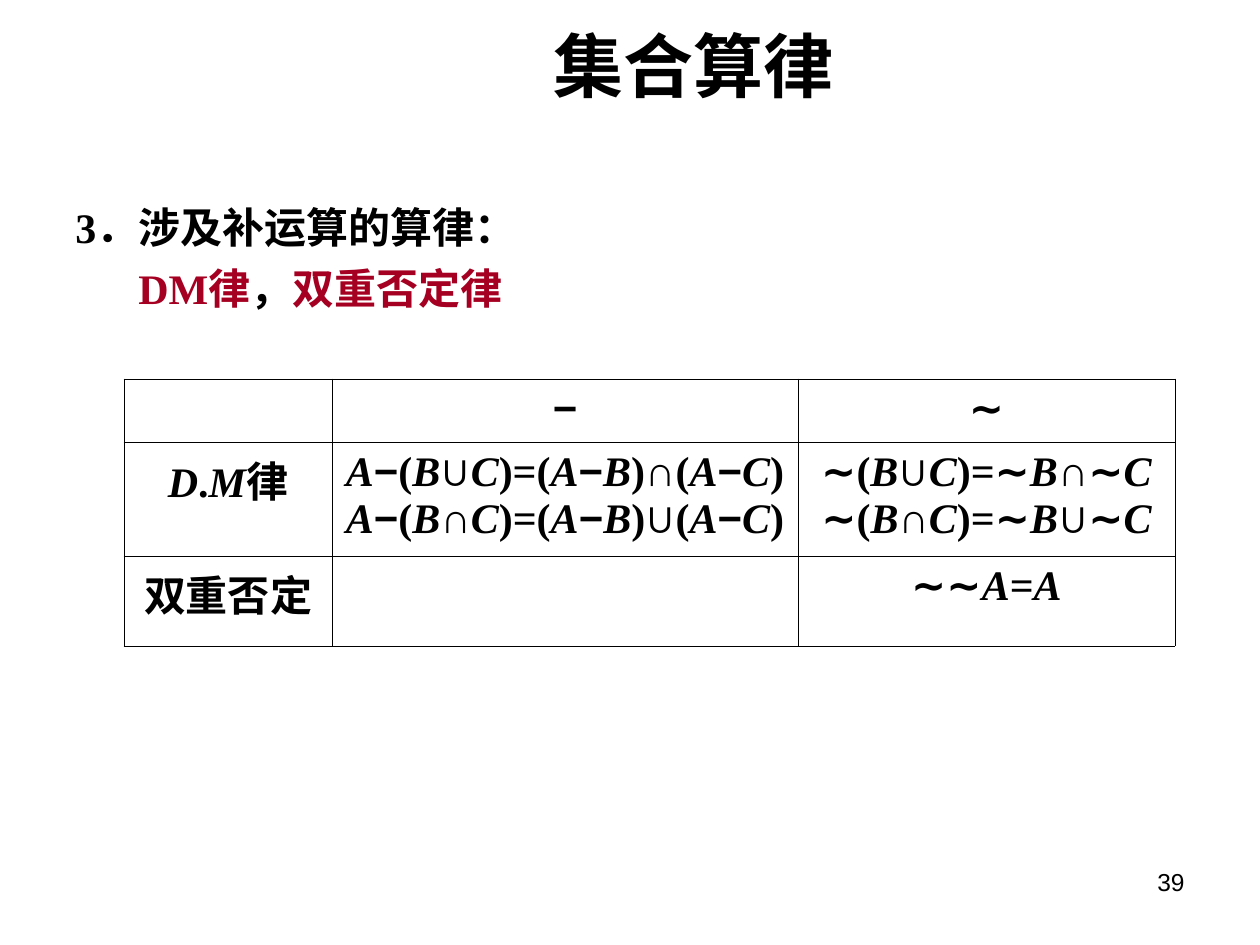
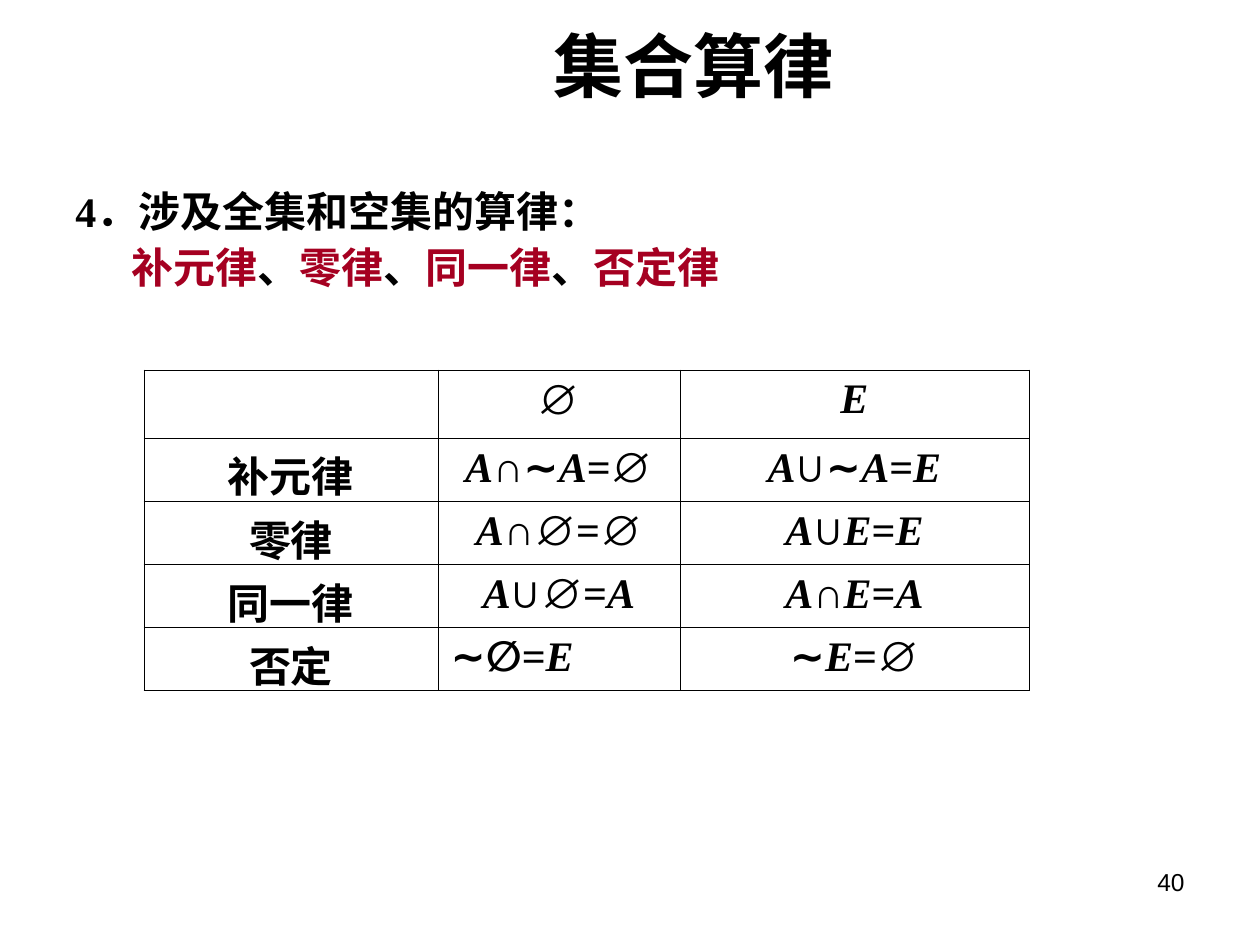
from dataclasses import dataclass
from itertools import groupby

from lxml.etree import SubElement
from pptx import Presentation
from pptx.dml.color import RGBColor
from pptx.enum.text import MSO_ANCHOR as Anchor, MSO_AUTO_SIZE as AutoSize, PP_ALIGN as Align
from pptx.oxml.ns import qn
from pptx.util import Emu, Pt

EMU_PER_PX = 914400 / 126
COLORS = {"text": "000000", "law": "A50021", "border": "000000", "background": "FFFFFF"}
SANS, SERIF, CHINESE = "Arial", "Times New Roman", "Noto Sans CJK SC"
OPERATORS = "−∼∪∩∅"
TITLE = "集合算律"
TITLE_BOX = (272, 35, 843, 58)
NUMBER_BOX = (903, 861, 294, 66)
BODY_SIZE = 24
HEADING_INDENT = 48


@dataclass(frozen=True)
class LawText:
    box: tuple[int, int, int, int]
    heading: str
    laws: tuple[str, ...]
    separator: str
    law_indent: int
    line_spacing: float


@dataclass(frozen=True)
class LawTable:
    left: int
    top: int
    columns: tuple[int, ...]
    rows: tuple[int, ...]
    cells: tuple[tuple[str, ...], ...]
    left_aligned: tuple[str, ...] = ()


@dataclass(frozen=True)
class LawSlide:
    number: int
    text: LawText
    table: LawTable


SLIDES = (
    LawSlide(
        39,
        LawText((63, 195, 1134, 139), "3．涉及补运算的算律：", ("DM律", "双重否定律"), "，", 63, 1.0),
        LawTable(
            124, 379, (208, 466, 377), (63, 114, 90),
            (
                ("", "−", "∼"),
                ("D.M律", "A−(B∪C)=(A−B)∩(A−C)\nA−(B∩C)=(A−B)∪(A−C)",
                 "∼(B∪C)=∼B∩∼C\n∼(B∩C)=∼B∪∼C"),
                ("双重否定", "", "∼∼A=A"),
            ),
        ),
    ),
    LawSlide(
        40,
        LawText((63, 185, 1134, 118), "4．涉及全集和空集的算律：",
                ("补元律", "零律", "同一律", "否定律"), "、", 56, 0.9),
        LawTable(
            144, 370, (294, 242, 349), (68,) + (63,) * 4,
            (
                ("", "∅", "E"),
                ("补元律", "A∩∼A=∅", "A∪∼A=E"),
                ("零律", "A∩∅=∅", "A∪E=E"),
                ("同一律", "A∪∅=A", "A∩E=A"),
                ("否定", "∼∅=E", "∼E=∅"),
            ),
            left_aligned=("∼∅=E",),
        ),
    ),
)


def px(length: float) -> Emu:
    return Emu(round(length * EMU_PER_PX))


def place(shape, box: tuple[int, int, int, int]) -> None:
    shape.left, shape.top, shape.width, shape.height = map(px, box)


def style_paragraph(paragraph, size: int, bold: bool, align: Align) -> None:
    paragraph.alignment = align
    paragraph.font.size = Pt(size)
    paragraph.font.bold = bold


def add_run(paragraph, text: str, typeface: str, color: str = "text", italic: bool = False) -> None:
    run = paragraph.add_run()
    run.text = text
    run.font.name = typeface
    run.font.italic = italic
    run.font.color.rgb = RGBColor.from_string(COLORS[color])
    SubElement(run._r.get_or_add_rPr(), qn("a:ea"), typeface=CHINESE)


def symbol_style(symbol: str) -> tuple[str, bool]:
    """Typeface and italics of one symbol of a formula."""
    if symbol in OPERATORS:
        return SANS, False
    if symbol.isascii():
        return SERIF, symbol.isalpha()
    return CHINESE, False


def add_formula(paragraph, formula: str) -> None:
    for (typeface, italic), symbols in groupby(formula, symbol_style):
        add_run(paragraph, "".join(symbols), typeface, italic=italic)


def add_title(slide) -> None:
    title = slide.shapes.title
    place(title, TITLE_BOX)
    frame = title.text_frame
    frame.auto_size = AutoSize.NONE
    frame.vertical_anchor = Anchor.MIDDLE
    style_paragraph(frame.paragraphs[0], 40, True, Align.CENTER)
    add_run(frame.paragraphs[0], TITLE, SANS)


def add_text_frame(slide, box: tuple[int, int, int, int]):
    frame = slide.shapes.add_textbox(*map(px, box)).text_frame
    frame.word_wrap = True
    return frame


def add_number(slide, number: int) -> None:
    paragraph = add_text_frame(slide, NUMBER_BOX).paragraphs[0]
    style_paragraph(paragraph, 14, False, Align.RIGHT)
    add_run(paragraph, str(number), SANS)


def add_law_text(slide, text: LawText) -> None:
    frame = add_text_frame(slide, text.box)
    heading, laws = frame.paragraphs[0], frame.add_paragraph()
    for paragraph, margin, indent in ((heading, HEADING_INDENT, -HEADING_INDENT),
                                      (laws, text.law_indent, 0)):
        style_paragraph(paragraph, BODY_SIZE, True, Align.LEFT)
        paragraph.space_before = Pt(6)
        paragraph.line_spacing = text.line_spacing
        properties = paragraph._p.get_or_add_pPr()
        properties.set("marL", str(px(margin)))
        properties.set("indent", str(px(indent)))
    add_run(heading, text.heading, SERIF)
    for index, law in enumerate(text.laws):
        if index:
            add_run(laws, text.separator, SERIF)
        add_run(laws, law, SERIF, "law")


def style_cell(cell) -> None:
    # Borders come before the fill in the cell properties
    properties = cell._tc.get_or_add_tcPr()
    for side in ("lnL", "lnR", "lnT", "lnB"):
        line = SubElement(properties, qn(f"a:{side}"), w=str(Pt(0.45)))
        fill = SubElement(line, qn("a:solidFill"))
        SubElement(fill, qn("a:srgbClr"), val=COLORS["border"])
    cell.fill.background()


def add_law_table(slide, law_table: LawTable) -> None:
    columns, rows = law_table.columns, law_table.rows
    bounds = (law_table.left, law_table.top, sum(columns), sum(rows))
    table = slide.shapes.add_table(len(rows), len(columns), *map(px, bounds)).table
    table.first_row = table.horz_banding = False
    for column, width in zip(table.columns, columns):
        column.width = px(width)
    for row, height, formulas in zip(table.rows, rows, law_table.cells):
        row.height = px(height)
        for cell, formula in zip(row.cells, formulas):
            style_cell(cell)
            align = Align.LEFT if formula in law_table.left_aligned else Align.CENTER
            for index, line in enumerate(formula.split("\n")):
                frame = cell.text_frame
                paragraph = frame.add_paragraph() if index else frame.paragraphs[0]
                style_paragraph(paragraph, BODY_SIZE, True, align)
                add_formula(paragraph, line)


def main() -> None:
    presentation = Presentation()
    presentation.slide_width, presentation.slide_height = px(1260), px(945)

    # White background shared by all slides
    background = presentation.slide_master.background.fill
    background.solid()
    background.fore_color.rgb = RGBColor.from_string(COLORS["background"])

    for law_slide in SLIDES:
        slide = presentation.slides.add_slide(presentation.slide_layouts[5])
        add_number(slide, law_slide.number)
        add_title(slide)
        add_law_text(slide, law_slide.text)
        add_law_table(slide, law_slide.table)
    presentation.save("out.pptx")


if __name__ == "__main__":
    main()
